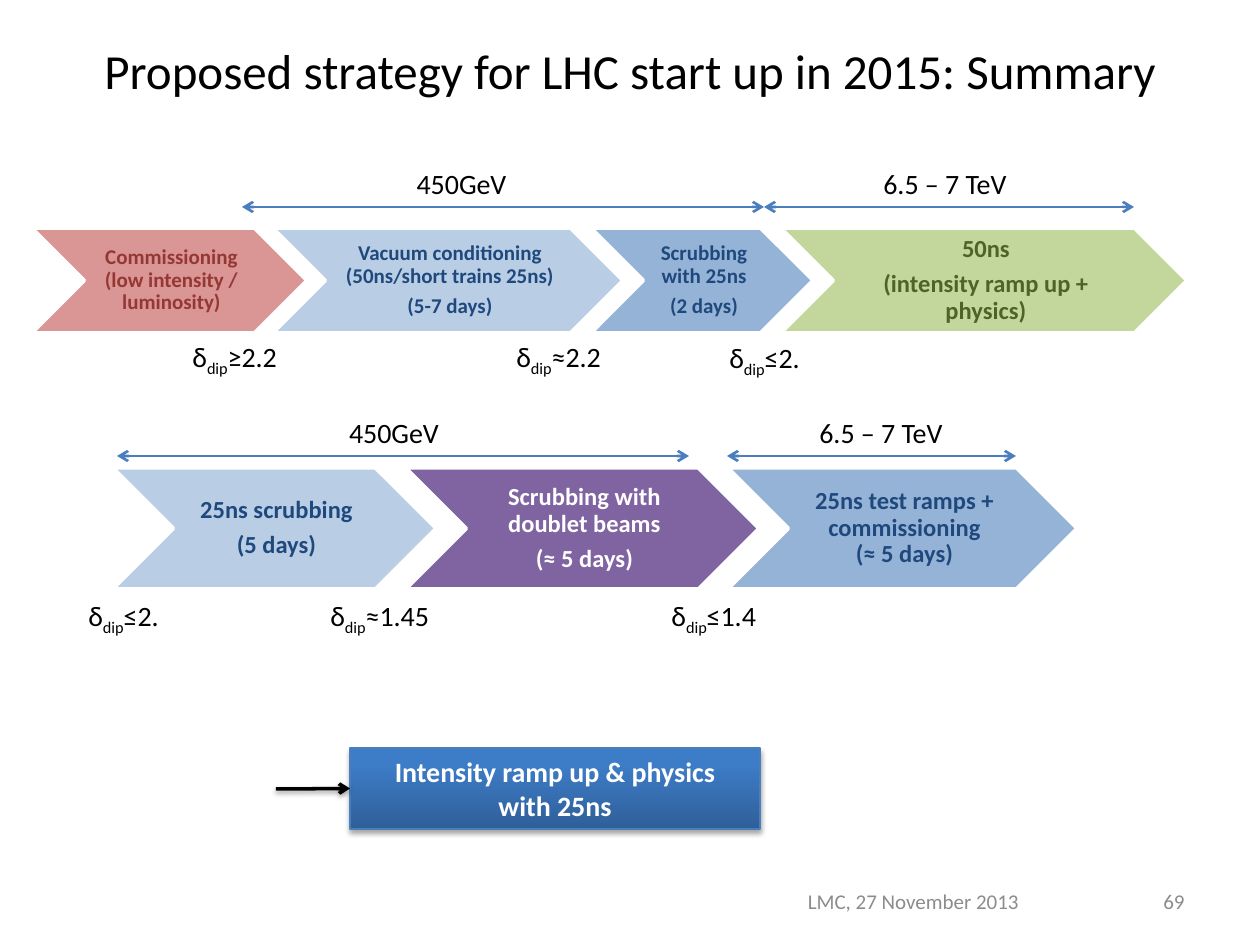
from lxml import etree
from pptx import Presentation
from pptx.dml.color import RGBColor
from pptx.enum.shapes import MSO_CONNECTOR, MSO_SHAPE
from pptx.enum.text import MSO_ANCHOR, PP_ALIGN
from pptx.oxml.ns import qn
from pptx.util import Emu, Pt

CHEVRON = MSO_SHAPE.CHEVRON
RECTANGLE = MSO_SHAPE.RECTANGLE
STRAIGHT = MSO_CONNECTOR.STRAIGHT
MIDDLE = MSO_ANCHOR.MIDDLE
TOP = MSO_ANCHOR.TOP
LEFT, CENTER, RIGHT = PP_ALIGN.LEFT, PP_ALIGN.CENTER, PP_ALIGN.RIGHT

FONT = "Calibri"
PX_PER_INCH = 126
COLORS = {
    "black": "000000", "white": "FFFFFF", "grey": "8C8C8C", "line": "4B7EBC",
    "red": "D99694", "dark red": "953735", "pale blue": "B9CDE5",
    "blue": "95B3D7", "navy": "1F497D", "green": "C3D69B",
    "dark green": "4F6228", "purple": "8064A2",
    "gradient bottom": "2F5F99", "gradient top": "3D7CC7",
}


def px(value):
    return Emu(round(value * 914400 / PX_PER_INCH))


def color(name):
    return RGBColor.from_string(COLORS[name])


def format_text(text_frame, size, color_name, align, bold=False):
    for paragraph in text_frame.paragraphs:
        paragraph.alignment = align
        for run in paragraph.runs:
            run.font.name = FONT
            run.font.size = Pt(size)
            run.font.bold = bold
            run.font.color.rgb = color(color_name)


def add_label(slide, box, text, size=16, color_name="black", align=CENTER,
              anchor=TOP):
    label = slide.shapes.add_textbox(*map(px, box))
    text_frame = label.text_frame
    text_frame.word_wrap = True
    text_frame.vertical_anchor = anchor
    text_frame.text = text
    format_text(text_frame, size, color_name, align)


def add_delta(slide, left, top, width, value):
    label = slide.shapes.add_textbox(px(left), px(top), px(width), px(47))
    text_frame = label.text_frame
    text_frame.word_wrap = False
    paragraph = text_frame.paragraphs[0]
    for text in ("δ", "dip", value):
        paragraph.add_run().text = text
    format_text(text_frame, 16, "black", LEFT)
    paragraph.runs[1]._r.get_or_add_rPr().set("baseline", "-25000")


def add_chevron(slide, box, text, size, fill_name, text_name):
    chevron = slide.shapes.add_shape(CHEVRON, *map(px, box))
    chevron.shadow.inherit = False
    chevron.fill.solid()
    chevron.fill.fore_color.rgb = color(fill_name)
    chevron.line.color.rgb = color("white")
    chevron.line.width = Pt(2)
    text_frame = chevron.text_frame
    text_frame.word_wrap = True
    text_frame.vertical_anchor = MIDDLE
    text_frame.margin_left = px(7)
    text_frame.margin_right = px(3)
    text_frame.margin_top = text_frame.margin_bottom = px(3)
    text_frame.text = text
    format_text(text_frame, size, text_name, CENTER, bold=True)
    for paragraph in text_frame.paragraphs:
        paragraph.line_spacing = 0.9
        paragraph.space_after = Pt(round(size * 0.35, 1))


def add_arrow(slide, start, end, y, color_name, width, ends):
    arrow = slide.shapes.add_connector(STRAIGHT, px(start), px(y), px(end), px(y))
    arrow.line.color.rgb = color(color_name)
    arrow.line.width = Pt(width)
    outline = arrow.line._get_or_add_ln()
    for tag in ends:
        etree.SubElement(outline, qn(tag), type="arrow")
    effects = etree.SubElement(arrow._element.spPr, qn("a:effectLst"))
    return arrow, effects


def add_shadow(effects, opacity, distance):
    shadow = etree.SubElement(
        effects, qn("a:outerShdw"), blurRad=str(Pt(3.1)),
        dist=str(Pt(distance)), dir="5400000", rotWithShape="0")
    shade = etree.SubElement(shadow, qn("a:srgbClr"), val=COLORS["black"])
    etree.SubElement(shade, qn("a:alpha"), val=str(opacity * 1000))


def add_goal(slide):
    goal = slide.shapes.add_shape(RECTANGLE, px(350), px(748), px(410), px(81))
    goal.fill.gradient()
    goal.fill.gradient_angle = 90
    stops = (("gradient bottom", 0), ("gradient top", 0.8))
    for stop, (name, position) in zip(goal.fill.gradient_stops, stops):
        stop.color.rgb = color(name)
        stop.position = position
    goal.line.color.rgb = color("line")
    goal.line.width = Pt(0.75)
    goal.shadow.inherit = False
    add_shadow(goal._element.spPr.find(qn("a:effectLst")), 35, 1.8)
    text_frame = goal.text_frame
    text_frame.word_wrap = True
    text_frame.vertical_anchor = MIDDLE
    text_frame.text = "Intensity ramp up & physics\vwith 25ns"
    format_text(text_frame, 16, "white", CENTER, bold=True)
    arrow, effects = add_arrow(slide, 276, 350, 789, "black", 2, ["a:tailEnd"])
    arrow.end_connect(goal, 1)
    add_shadow(effects, 38, 1.6)


def add_title(slide, text):
    title = slide.shapes.title
    title.left, title.top, title.width, title.height = map(px, (63, 33, 1134, 73))
    title.text_frame.text = text
    title.text_frame.vertical_anchor = MIDDLE
    format_text(title.text_frame, 28, "black", CENTER)


def main():
    presentation = Presentation()
    presentation.slide_width = px(1260)
    presentation.slide_height = px(945)
    slide = presentation.slides.add_slide(presentation.slide_layouts[5])
    add_title(slide, "Proposed strategy for LHC start up in 2015: Summary")

    rows = [
        (228, 105, [
            (32, 275, "Commissioning (low intensity / luminosity)", 12, "red", "dark red"),
            (273, 350, "Vacuum conditioning (50ns/short trains 25ns)\n(5-7 days)", 12,
             "pale blue", "navy"),
            (591, 222, "Scrubbing with 25ns\n(2 days)", 12, "blue", "navy"),
            (781, 406, "50ns\n(intensity ramp up +\vphysics)", 14, "green", "dark green"),
        ]),
        (468, 121, [
            (113, 323, "25ns scrubbing\n(5 days)", 14, "pale blue", "navy"),
            (406, 353, "Scrubbing with doublet beams\n(≈ 5 days)", 14, "purple", "white"),
            (728, 349, "25ns test ramps +\vcommissioning\v(≈ 5 days)", 14, "blue", "navy"),
        ]),
    ]
    for top, height, steps in rows:
        for left, width, *style in steps:
            add_chevron(slide, (left, top, width, height), *style)

    for left, top, width, value in (
        (180, 333, 115, "≥2.2"), (504, 333, 115, "≈2.2"), (717, 334, 100, "≤2."),
        (76, 592, 100, "≤2."), (318, 592, 137, "≈1.45"), (659, 592, 121, "≤1.4"),
    ):
        add_delta(slide, left, top, width, value)

    for start, end, y, label_left, label_width, energy in (
        (242, 764, 207, 199, 525, "450GeV"),
        (764, 1134, 207, 756, 378, "6.5 – 7 TeV"),
        (117, 689, 456, 127, 534, "450GeV"),
        (727, 1016, 456, 653, 456, "6.5 – 7 TeV"),
    ):
        add_arrow(slide, start, end, y, "line", 1.5, ["a:headEnd", "a:tailEnd"])
        add_label(slide, (label_left, y - 47, label_width, 47), energy)

    add_goal(slide)
    add_label(slide, (714, 876, 399, 50), "LMC, 27 November 2013", 12, "grey", CENTER, MIDDLE)
    add_label(slide, (903, 876, 294, 50), "69", 12, "grey", RIGHT, MIDDLE)
    presentation.save("out.pptx")


if __name__ == "__main__":
    main()
